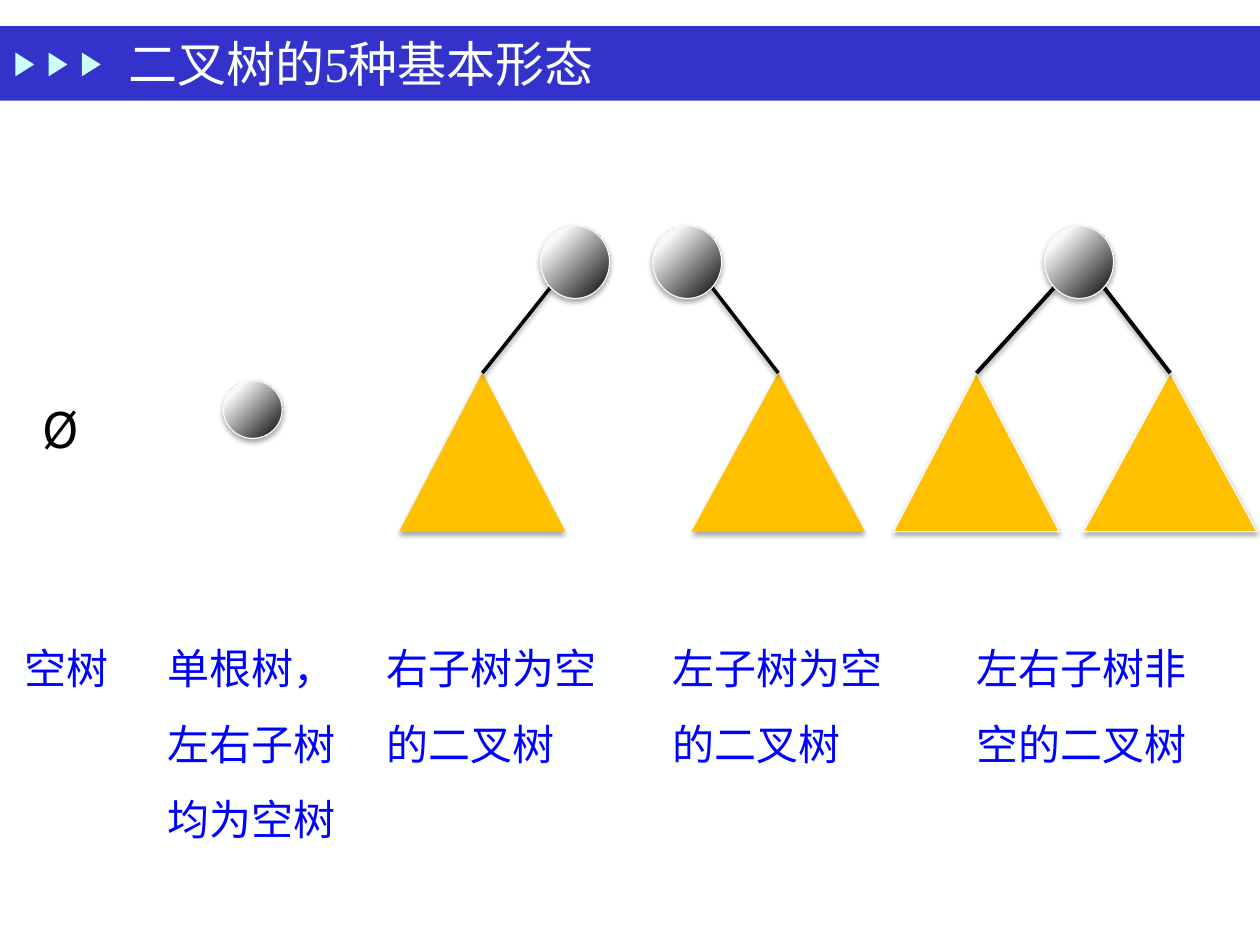
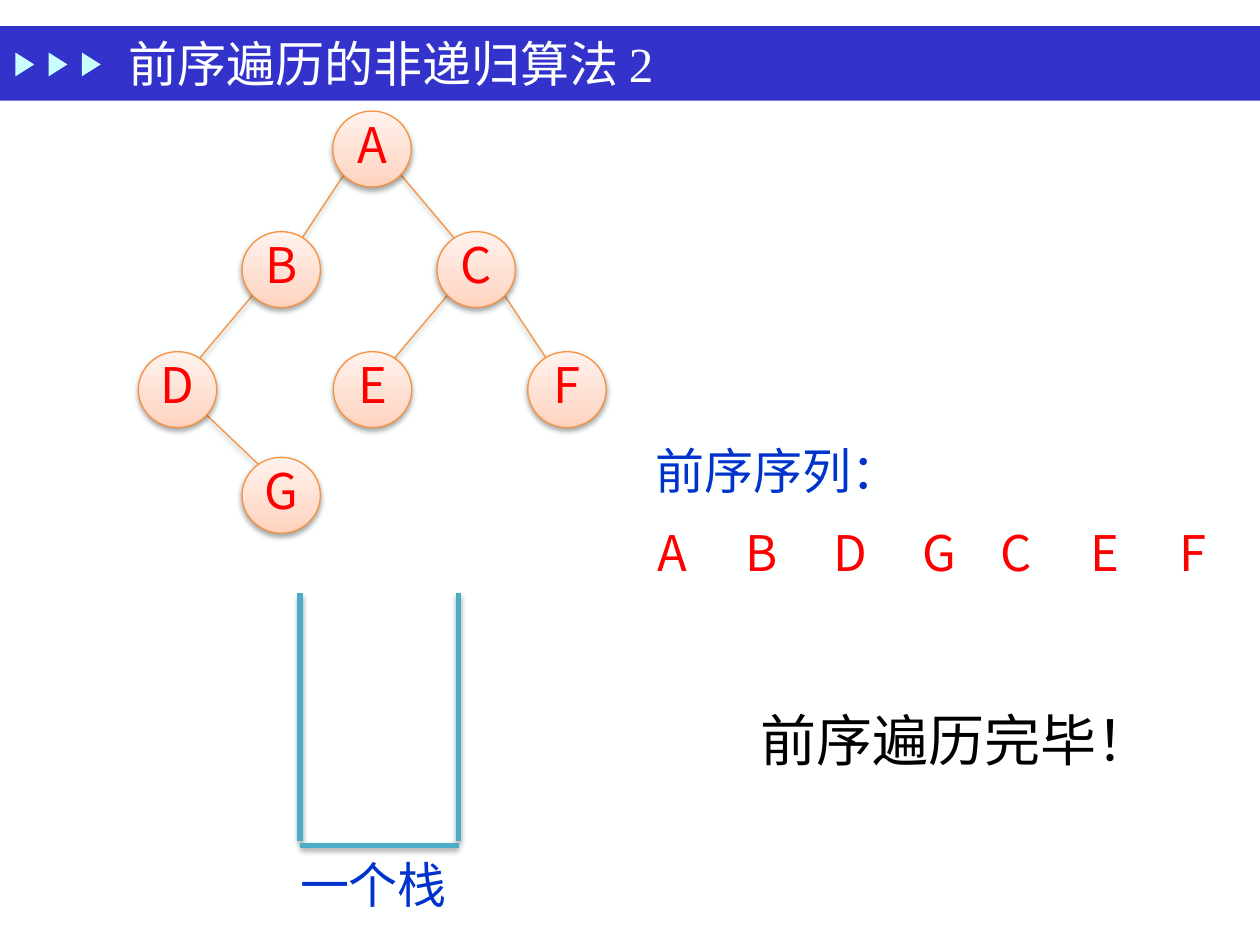
from pptx import Presentation, util as u
from pptx.dml import color
from pptx.enum import shapes as sh, text as tx
from pptx.oxml import parse_xml, ns

Cm, Pt = u.Cm, u.Pt
SANS = "Noto Sans CJK SC"
WHITE, BLACK, RED, BLUE, NAVY = "FEFFFF", "000000", "FF0000", "0000FF", "0033CC"
ORANGE, TEAL, AMBER, RIM = "F69240", "4BACC6", "FFC000", "F8F9F9"
STEEL = ([(0, BLACK), (80, "F6F7F7"), (100, "F7F8F8")], 225)
PEACH = ([(0, "FFD2BD"), (35, "FFDED0"), (100, "FFF2ED")], 270)


# Shared helpers
def rgb(code):
    return color.RGBColor.from_string(code)


def shade(obj, on=True):
    """Give a shape or connector a soft shadow below it, or none."""
    drop = ('<a:outerShdw blurRad="39400" dist="22900" dir="5400000" rotWithShape="0">'
            '<a:srgbClr val="000000"><a:alpha val="35000"/></a:srgbClr></a:outerShdw>')
    obj.element.spPr.append(parse_xml(
        f'<a:effectLst {ns.nsdecls("a")}>{drop if on else ""}</a:effectLst>'))


def blend(shape, stops, angle):
    """Fill a shape with a gradient of several stops."""
    shape.fill.gradient()
    marks = "".join(f'<a:gs pos="{pos * 1000}"><a:srgbClr val="{code}"/></a:gs>'
                    for pos, code in stops)
    props = shape.element.spPr
    props.replace(props.find(ns.qn("a:gradFill")), parse_xml(
        f'<a:gradFill {ns.nsdecls("a")} rotWithShape="1"><a:gsLst>{marks}</a:gsLst>'
        f'<a:lin ang="{angle * 60000}" scaled="0"/></a:gradFill>'))


def form(slide, kind, box, fill, edge=None, drop=True):
    shape = slide.shapes.add_shape(kind, *map(Cm, box))
    if isinstance(fill, str):
        shape.fill.solid()
        shape.fill.fore_color.rgb = rgb(fill)
    else:
        blend(shape, *fill)
    if edge:
        shape.line.color.rgb = rgb(edge)
        shape.line.width = Pt(0.75)
    else:
        shape.line.fill.background()
    shade(shape, drop)
    return shape


def line(slide, start, end, code, width):
    link = slide.shapes.add_connector(
        sh.MSO_CONNECTOR.STRAIGHT, *map(Cm, (*start, *end)))
    link.line.color.rgb = rgb(code)
    link.line.width = Pt(width)
    shade(link)


def write(shape, words, size=28, code=BLACK, font=SANS, east=SANS, space=None,
          align=None, anchor=None, wrap=True, inset=None):
    frame = shape.text_frame
    frame.word_wrap = wrap
    if anchor is not None:
        frame.vertical_anchor = anchor
    if inset is not None:
        frame.margin_left = frame.margin_right = Cm(inset)
        frame.margin_top = frame.margin_bottom = Cm(inset)
    para = frame.paragraphs[0]
    para.line_spacing, para.alignment = space, align
    run = para.add_run()
    run.text = words
    run.font.size, run.font.name = Pt(size), font
    run.font.color.rgb = rgb(code)
    run.font._element.find(ns.qn("a:latin")).addnext(
        parse_xml(f'<a:ea {ns.nsdecls("a")} typeface="{east}"/>'))


def label(slide, box, words, **style):
    write(slide.shapes.add_textbox(*map(Cm, box)), words, **style)


# Layout: background, title band with three arrows
def band(layout, slide):
    layout.background.fill.solid()
    layout.background.fill.fore_color.rgb = rgb(WHITE)
    parts = [form(slide, sh.MSO_SHAPE.RECTANGLE, (0, 0.53, 25.4, 1.5), "3333CC", drop=False)]
    for i in range(3):
        mark = form(slide, sh.MSO_SHAPE.ISOSCELES_TRIANGLE,
                    (0.26 + 0.67 * i, 1.11, 0.48, 0.38), "CBFFFF", drop=False)
        mark.rotation = 90
        parts.append(mark)
    for part in parts:
        layout.shapes.element.append(part.element)


def head(slide, words):
    title = slide.shapes.title
    title.left, title.top, title.width, title.height = map(Cm, (2.34, 0.53, 17.78, 1.47))
    write(title, words, code=WHITE, font="Times New Roman",
          align=tx.PP_ALIGN.LEFT, anchor=tx.MSO_ANCHOR.MIDDLE)


# Slide 1: five basic forms
def tree(slide, x, y, subs, edge=None, width=2):
    """Root ball at x, y; subs maps the offset of each subtree to its width."""
    for shift, wide in subs.items():
        left = x + shift
        form(slide, sh.MSO_SHAPE.ISOSCELES_TRIANGLE, (left, y + 2.97, wide, 3.2), AMBER, edge)
        foot = x + (0.2 if shift < 0 else 1.19)
        line(slide, (foot, y + 1.24), (left + wide / 2, y + 2.97), BLACK, width)
    form(slide, sh.MSO_SHAPE.OVAL, (x, y, 1.39, 1.47), STEEL, RIM)


def shapes(slide):
    head(slide, "二叉树的5种基本形态")
    label(slide, (0.61, 7.34, 1.6, 1.83), "Ø", space=1.5)
    form(slide, sh.MSO_SHAPE.OVAL, (4.5, 7.67, 1.19, 1.17), STEEL, RIM)
    tree(slide, 10.9, 4.55, {-2.85: 3.35})
    tree(slide, 13.16, 4.55, {0.78: 3.5})
    tree(slide, 21.06, 4.55, {-3.05: 3.35, 0.78: 3.5}, edge=RIM, width=2.25)
    for x, wide, high, words in (
            (0.25, 2.44, 1.63, "空树"),
            (3.12, 3.96, 4.7, "单根树，左右子树均为空树"),
            (7.54, 4.83, 3.15, "右子树为空的二叉树"),
            (13.31, 4.83, 3.15, "左子树为空的二叉树"),
            (19.43, 4.83, 3.15, "左右子树非空的二叉树")):
        label(slide, (x, 12.32, wide, high), words, size=24, code=BLUE, space=1.5)


# Slide 2: preorder walk with a stack
def graph(slide, x, y):
    wide, high = 1.58, 1.53
    nodes = {"A": (3.92, 0), "B": (2.09, 2.43), "C": (6.02, 2.43), "D": (0, 4.85),
             "E": (3.93, 4.85), "F": (7.85, 4.85), "G": (2.09, 6.98)}
    mids = {name: (x + dx + wide / 2, y + dy + high / 2) for name, (dx, dy) in nodes.items()}
    for top, low in ("AB", "AC", "BD", "CE", "CF", "DG"):
        (px, py), (cx, cy) = mids[top], mids[low]
        side = 1 if cx > px else -1
        line(slide, (px + side * 0.53, py + 0.46), (cx - side * 0.33, cy - 0.5), ORANGE, 0.75)
    for name, (dx, dy) in nodes.items():
        ball = form(slide, sh.MSO_SHAPE.OVAL, (x + dx, y + dy, wide, high), PEACH, ORANGE)
        write(ball, name, code=RED, space=0.8, align=tx.PP_ALIGN.CENTER,
              anchor=tx.MSO_ANCHOR.MIDDLE, wrap=False)


def stack(slide, x, y, wide, high):
    for side in (x, x + wide):
        line(slide, (side, y), (side, y + high), TEAL, 3)
    base = y + high + 0.08
    line(slide, (x, base), (x + wide, base), TEAL, 3)
    label(slide, (x - 0.25, base + 0.3, 3.71, 1.22), "一个栈", code=NAVY, space=0.8)


def order(slide, x, y):
    label(slide, (x, y, 4.8, 1.22), "前序序列：", code=NAVY, space=0.8)
    for i, name in enumerate("ABDGCEF"):
        back = 0.25 if i > 3 else 0
        label(slide, (x + 1.79 * i - back, y + 1.78, 1.19, 0.97), name, code=RED,
              space=0.8, align=tx.PP_ALIGN.CENTER, inset=0)
    label(slide, (x + 2.11, y + 5.34, 7.49, 1.4), "前序遍历完毕！", size=32, space=0.8,
          font="Noto Sans CJK JP", east="Noto Sans CJK JP", anchor=tx.MSO_ANCHOR.MIDDLE)


def walk(slide):
    head(slide, "前序遍历的非递归算法 2")
    stack(slide, 6.05, 11.96, 3.2, 5)
    graph(slide, 2.79, 2.24)
    order(slide, 12.97, 8.99)


def main():
    deck = Presentation()
    deck.slide_width, deck.slide_height = Cm(25.4), Cm(19.05)
    layout = deck.slide_layouts[5]
    first, second = (deck.slides.add_slide(layout) for _ in range(2))
    band(layout, first)
    shapes(first)
    walk(second)
    deck.save("out.pptx")


if __name__ == "__main__":
    main()
